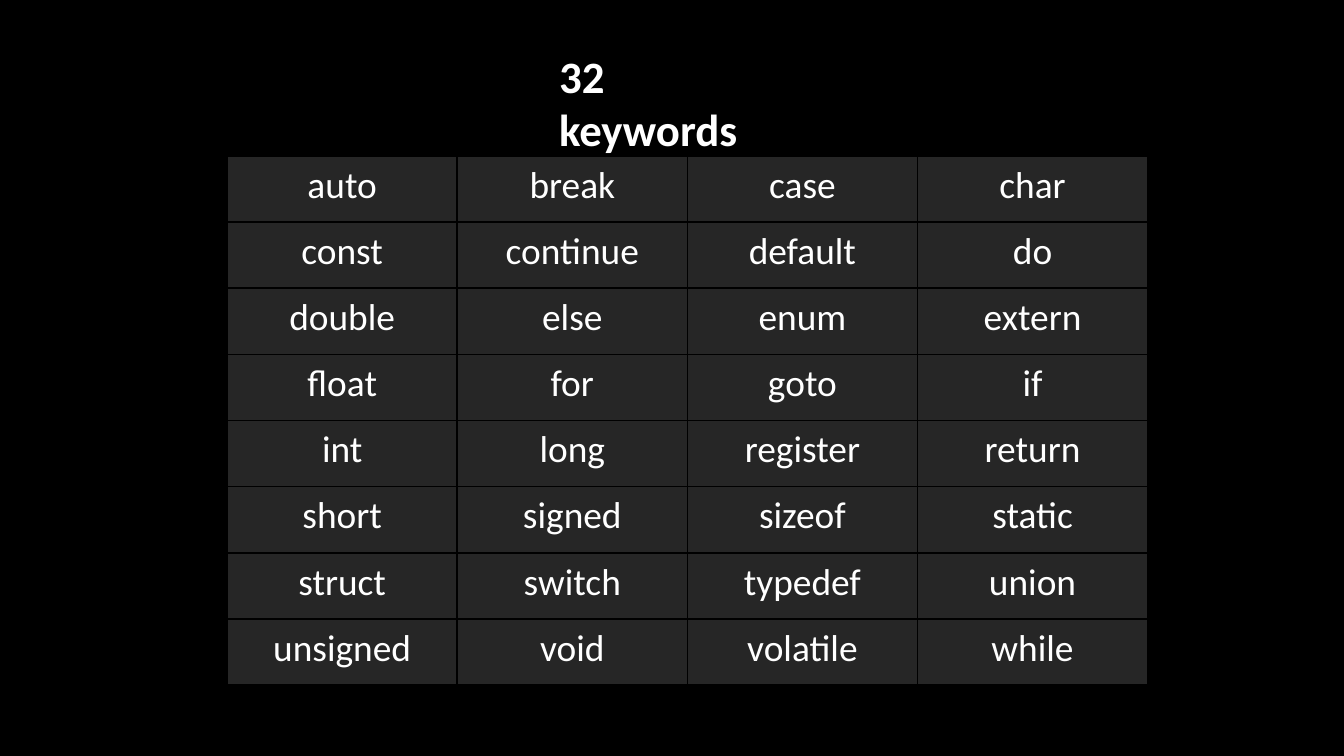
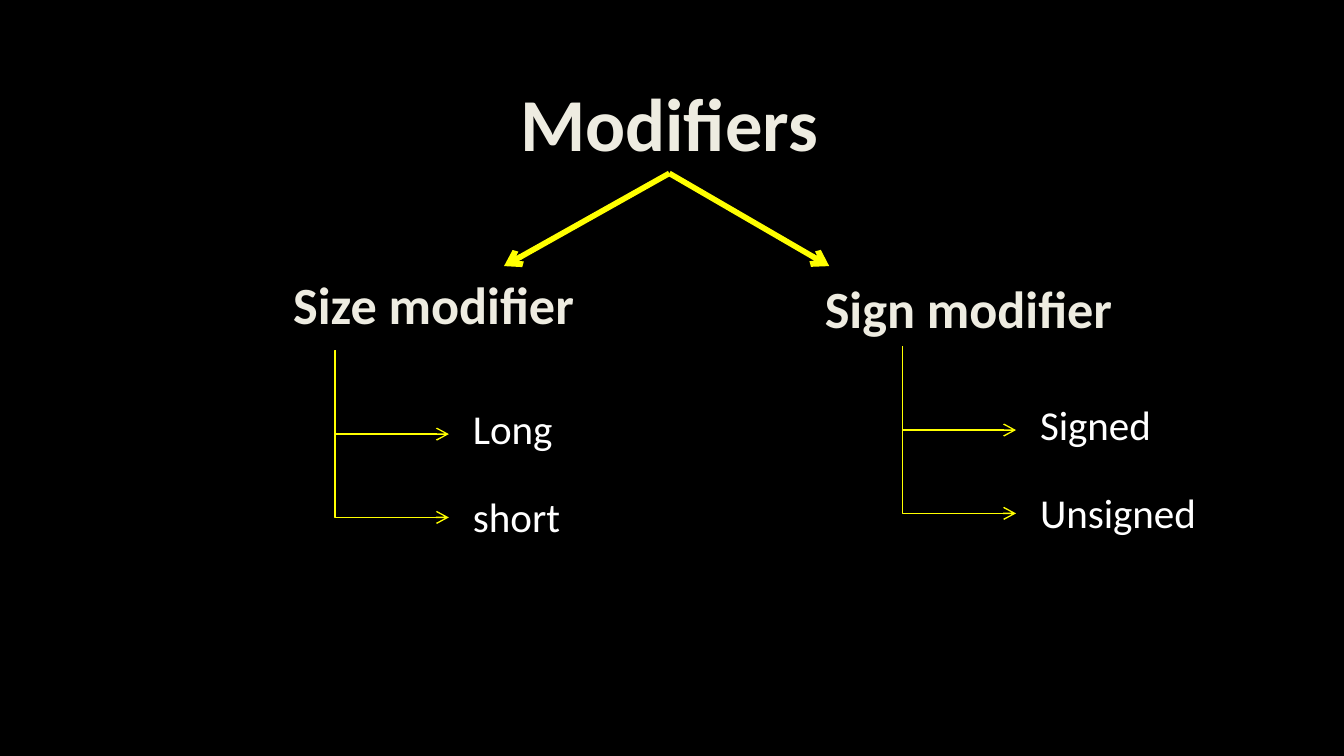
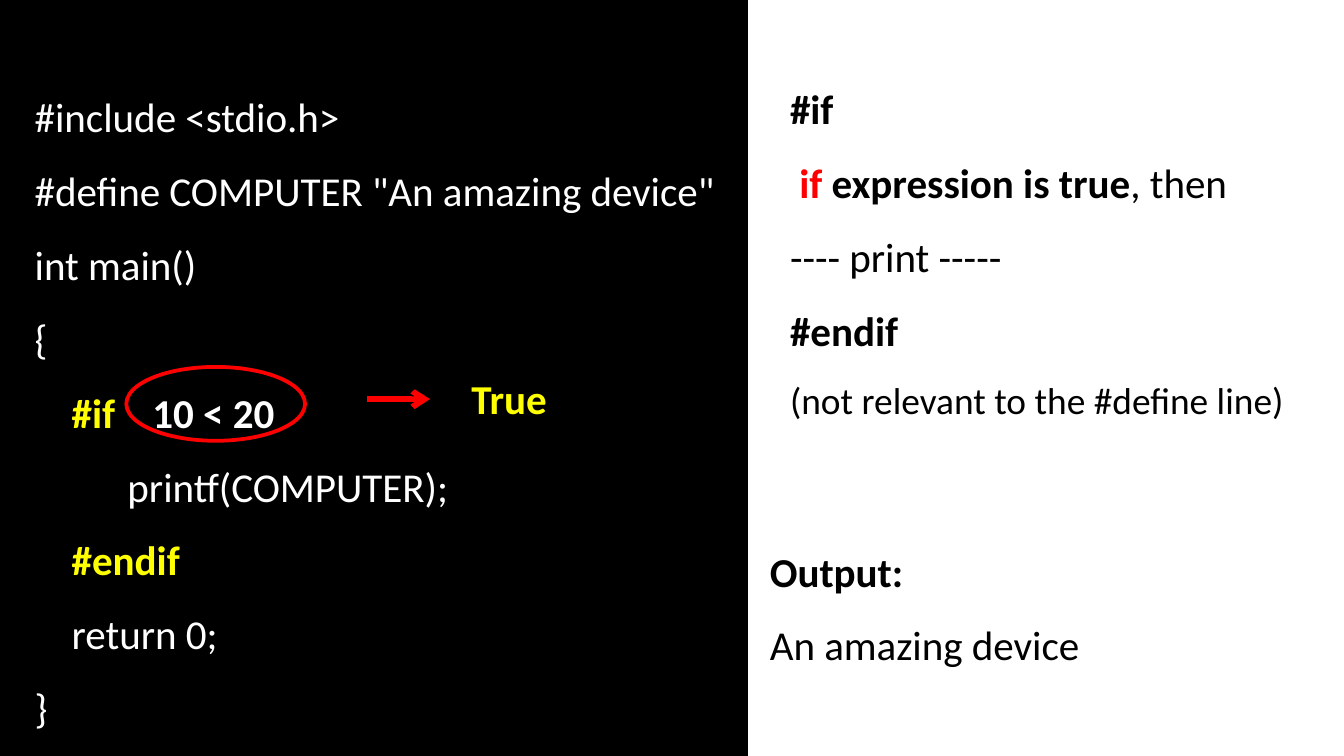
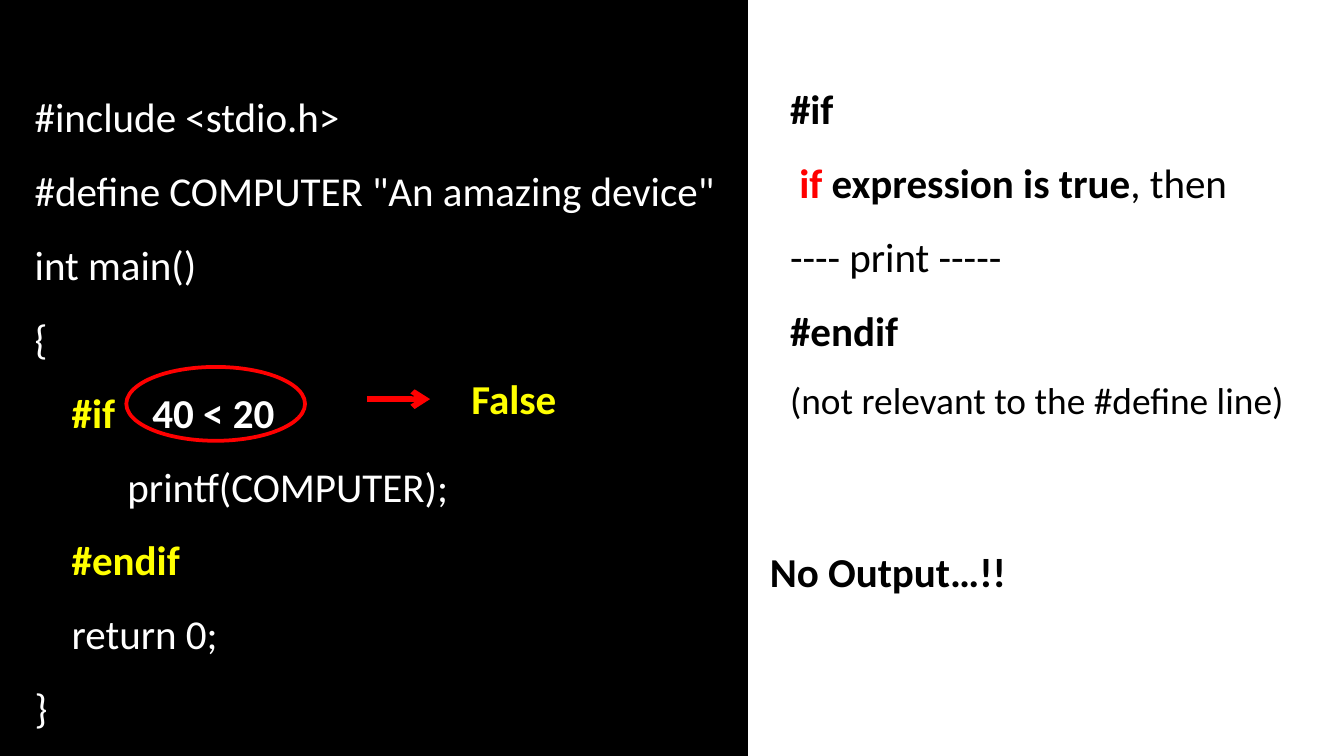
from dataclasses import dataclass

from lxml.etree import SubElement
from pptx import Presentation
from pptx.dml.color import RGBColor
from pptx.enum.shapes import MSO_CONNECTOR, MSO_SHAPE
from pptx.enum.text import MSO_ANCHOR, MSO_AUTO_SIZE, PP_ALIGN
from pptx.oxml.ns import qn
from pptx.util import Inches, Pt


@dataclass(frozen=True)
class Theme:
    font: str = "Calibri"
    black: RGBColor = RGBColor.from_string("000000")
    white: RGBColor = RGBColor.from_string("FFFFFF")
    cream: RGBColor = RGBColor.from_string("EEECE1")
    charcoal: RGBColor = RGBColor.from_string("262626")
    yellow: RGBColor = RGBColor.from_string("FFFF00")
    red: RGBColor = RGBColor.from_string("FF0000")
    display: int = 40
    heading: int = 28
    title: int = 24
    body: int = 22
    small: int = 20


theme = Theme()


@dataclass
class Line:
    """A paragraph; spans are (text, colour, bold) and override its look."""
    text: str = ""
    color: RGBColor = theme.white
    bold: bool = False
    size: int = theme.body
    indent: float = 0
    spans: tuple = ()


# Deck and its square grid: 100 columns across the slide
deck = Presentation()
deck.slide_width, deck.slide_height = Inches(10), Inches(5.625)
UNIT = deck.slide_width // 100
TITLE_ONLY, BLANK = deck.slide_layouts[5], deck.slide_layouts[6]


def add_text(slide, at, lines, box=None, wrap=False, align=PP_ALIGN.LEFT, spacing=1.0):
    """Write lines at a grid place, in a new text box or the given placeholder."""
    left, top, width, height = (int(length * UNIT) for length in at)
    box = box or slide.shapes.add_textbox(left, top, width, height)
    box.left, box.top, box.width, box.height = left, top, width, height
    frame = box.text_frame
    frame.word_wrap = wrap
    frame.auto_size = MSO_AUTO_SIZE.SHAPE_TO_FIT_TEXT
    frame.vertical_anchor = MSO_ANCHOR.TOP
    for index, line in enumerate(lines):
        para = frame.add_paragraph() if index else frame.paragraphs[0]
        para.alignment, para.line_spacing = align, spacing
        if line.indent:
            para._p.get_or_add_pPr().set("marL", str(int(line.indent * UNIT)))
        para.font.name, para.font.size = theme.font, Pt(line.size)
        para.font.bold, para.font.color.rgb = line.bold, line.color
        for text, color, bold in line.spans or [(line.text, None, None)]:
            span = para.add_run()
            span.text = text
            span.font.bold = bold
            if color is not None:
                span.font.color.rgb = color
    return box


def add_arrow(slide, kind, begin, end, color, width):
    """Draw a shadowless connector between two grid points, arrowhead at its end."""
    points = [int(length * UNIT) for length in (*begin, *end)]
    arrow = slide.shapes.add_connector(kind, *points)
    arrow.line.color.rgb, arrow.line.width = color, Pt(width)
    SubElement(arrow.line._get_or_add_ln(), qn("a:tailEnd"), type="arrow")
    SubElement(arrow._element.spPr, qn("a:effectLst"))
    return arrow


# Slide 1: keyword table
slide = deck.slides.add_slide(TITLE_ONLY)
slide.background.fill.solid()
slide.background.fill.fore_color.rgb = theme.black
add_text(slide, (40.6, 3.1, 20.1, 5), [Line("32  keywords", bold=True, size=theme.title)],
         box=slide.shapes.title)

keywords = """auto break case char const continue default do
    double else enum extern float for goto if
    int long register return short signed sizeof static
    struct switch typedef union unsigned void volatile while""".split()
column_count = 4
row_count = len(keywords) // column_count
table = slide.shapes.add_table(row_count, column_count, int(16.9 * UNIT), int(11.6 * UNIT),
                               int(68.5 * UNIT), int(39.4 * UNIT)).table
table.first_row = table.horz_banding = False
for index, keyword in enumerate(keywords):
    cell = table.cell(*divmod(index, column_count))
    for side in ("lnL", "lnR", "lnT", "lnB"):
        border = SubElement(cell._tc.get_or_add_tcPr(), qn(f"a:{side}"), w=str(Pt(1)))
        border_fill = SubElement(border, qn("a:solidFill"))
        SubElement(border_fill, qn("a:srgbClr"), val=str(theme.black))
    cell.fill.solid()
    cell.fill.fore_color.rgb = theme.charcoal
    para = cell.text_frame.paragraphs[0]
    para.text, para.alignment = keyword, PP_ALIGN.CENTER
    para.font.name, para.font.size = theme.font, Pt(theme.small)
    para.font.color.rgb = theme.white

# Slide 2: modifier tree
slide = deck.slides.add_slide(TITLE_ONLY)
slide.background.fill.solid()
slide.background.fill.fore_color.rgb = theme.black
title = add_text(slide, (37.7, 5.2, 24.2, 7.7),
                 [Line("Modifiers", theme.cream, True, theme.display)],
                 box=slide.shapes.title, align=PP_ALIGN.CENTER)

# Heading, its place, tip of the arrow to it, top of its trunk, items with widths
branches = [
    ("Sign modifier", (60.3, 20.1, 23.5, 5.7), (61.7, 19.8), (67.2, 25.8),
     [("Signed", 10.3), ("Unsigned", 13.6)]),
    ("Size modifier", (20.8, 19.8, 22.9, 5.7), (37.5, 19.8), (25, 26.1),
     [("Long", 7.9), ("short", 8.5)]),
]
step = 6.2
for heading, place, tip, (trunk_left, trunk_top), items in branches:
    branch = add_arrow(slide, MSO_CONNECTOR.STRAIGHT, (49.7, 12.9), tip, theme.yellow, 3)
    branch.begin_connect(title, 2)
    add_text(slide, place, [Line(heading, theme.cream, True, theme.heading)],
             align=PP_ALIGN.CENTER)
    for index, (item, width) in enumerate(items):
        top = trunk_top + index * step
        elbow = add_arrow(slide, MSO_CONNECTOR.ELBOW, (trunk_left, top),
                          (trunk_left + 8.4, top + step), theme.yellow, 0.75)
        # Turn at the trunk, not halfway
        guides = elbow._element.spPr.find(qn("a:prstGeom")).find(qn("a:avLst"))
        SubElement(guides, qn("a:gd"), name="adj1", fmla="val -800")
        add_text(slide, (trunk_left + 9.2, trunk_top + 3.4 + 6.6 * index, width, 4.7),
                 [Line(item)])

# Slides 3 and 4: the #if directive, once true and once false
directive_rules = [
    Line("#if", theme.black, True),
    Line(color=theme.black, bold=True,
         spans=((" if", theme.red, None), (" expression is true", None, None),
                (", then", None, False))),
    Line("---- print -----", theme.black),
    Line("#endif", theme.black, True),
    Line("(not relevant to the #define line)", theme.black, size=theme.small),
]
cases = [
    ("10 < 20", "True", 12.1,
     [Line("Output:", theme.black, True), Line("An amazing device", theme.black)]),
    ("40 < 20", "False", 6.5, [Line("No Output…!!", theme.black, True)]),
]
for condition, verdict, output_height, output in cases:
    slide = deck.slides.add_slide(BLANK)
    slide.background.fill.solid()
    slide.background.fill.fore_color.rgb = theme.white

    # Code panel
    panel = slide.shapes.add_shape(MSO_SHAPE.RECTANGLE, 0, 0, int(55.5 * UNIT),
                                   deck.slide_height)
    panel.shadow.inherit = False
    panel.fill.solid()
    panel.fill.fore_color.rgb = panel.line.color.rgb = theme.black
    panel.line.width = Pt(2)
    code = add_text(slide, (1.6, 4.5, 53.9, 51), [
        Line("#include <stdio.h>"),
        Line('#define COMPUTER "An amazing device"'),
        Line("int main()"),
        Line("{"),
        Line(bold=True, indent=2.75,
             spans=(("#if", theme.yellow, None), (" ", None, None), (condition, None, None))),
        Line("printf(COMPUTER);", indent=6.9),
        Line("#endif", theme.yellow, True, indent=2.75),
        Line("return 0;", indent=2.75),
        Line("}"),
    ], wrap=True, spacing=1.5)
    # Widen the gap before the condition
    gap = code.text_frame.paragraphs[4].runs[1]
    gap._r.get_or_add_rPr().set("spc", "1500")

    # Output and rules
    add_text(slide, (56.3, 38.3, 43.7, output_height), output, wrap=True, spacing=1.5)
    add_text(slide, (57.8, 3.9, 42.2, 28.3), directive_rules, wrap=True, spacing=1.5)

    # Circled condition and its verdict
    ring = slide.shapes.add_shape(MSO_SHAPE.OVAL, int(9.4 * UNIT), int(27.3 * UNIT),
                                  int(13.3 * UNIT), int(5.5 * UNIT))
    ring.shadow.inherit = False
    ring.fill.background()
    ring.line.color.rgb, ring.line.width = theme.red, Pt(2)
    add_arrow(slide, MSO_CONNECTOR.STRAIGHT, (27.3, 29.7), (32, 29.7), theme.red, 3)
    add_text(slide, (34.1, 27.3, 10.4, 4.7), [Line(verdict, theme.yellow, True)], wrap=True)

deck.save("out.pptx")
